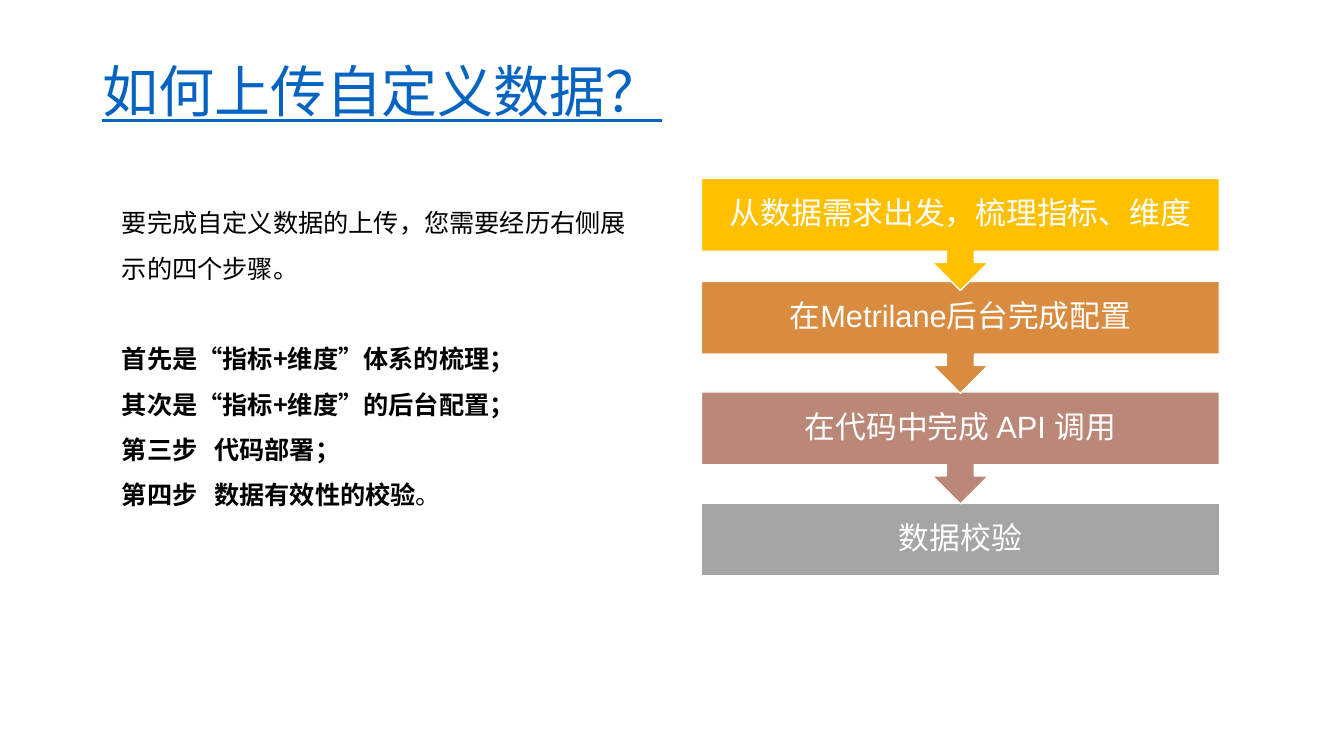
from lxml import etree
from pptx import Presentation
from pptx import util as u
from pptx.dml.color import RGBColor
from pptx.enum import shapes, text
from pptx.oxml.ns import qn

HEADING = "如何上传自定义数据？"
INTRO = "要完成自定义数据的上传，您需要经历右侧展示的四个步骤。"
DETAILS = [
    ("首先是“指标+维度”体系的梳理；", ""),
    ("其次是“指标+维度”的后台配置；", ""),
    ("第三步\t代码部署；", ""),
    ("第四步\t数据有效性的校验", "。"),
]
STEPS = [
    ("从数据需求出发，梳理指标、维度", "FFC000", 127.5),
    ("在Metrilane后台完成配置", "D98B3F", 201),
    ("在代码中完成 API 调用", "BB8776", 280),
    ("数据校验", "A5A5A5", 359.25),
]
THEME = {
    "cjk": "Noto Sans CJK SC", "latin": "Arial",
    "heading": {"size": u.Pt(40), "underline": True}, "heading_color": "0563C1",
    "body": {"size": u.Pt(18)}, "body_color": "000000",
    "step": {"size": u.Pt(22)}, "step_color": "FFFFFF",
    "edge": "FFFFFF",
}
STEP_LEFT, STEP_WIDTH, BAR_HEIGHT, CALLOUT_HEIGHT = 501, 370, 52, 80
STEP_INSET = 12
DETAIL_TAB, DETAIL_GAP = 66, 32.4


def apply(target, values):
    for key, value in values.items():
        setattr(target, key, value)


def add_words(paragraph, words, role, font_name, bold=False):
    run = paragraph.add_run()
    run.text = words
    apply(run.font, {**THEME[role], "name": font_name, "bold": bold})
    run.font.color.rgb = RGBColor.from_string(THEME[role + "_color"])
    latin = run.font._element.find(qn("a:latin"))
    east_asian = etree.Element(qn("a:ea"), typeface=THEME["cjk"])
    latin.addnext(east_asian)


def add_tab(paragraph, position):
    stops = etree.SubElement(paragraph._p.get_or_add_pPr(), qn("a:tabLst"))
    etree.SubElement(stops, qn("a:tab"), pos=str(u.Pt(position)), algn="l")


def add_box(slide, *bounds, anchor):
    frame = slide.shapes.add_textbox(*map(u.Pt, bounds)).text_frame
    apply(frame, {"word_wrap": True, "vertical_anchor": anchor})
    return frame


def add_heading(slide):
    frame = add_box(slide, 66, 41, 828, 52.5, anchor=text.MSO_ANCHOR.MIDDLE)
    heading = frame.paragraphs[0]
    heading.line_spacing = 0.9
    add_words(heading, HEADING, "heading", THEME["cjk"])


def add_explanation(slide):
    frame = add_box(slide, 80, 134, 377, 269, anchor=text.MSO_ANCHOR.TOP)
    intro = frame.paragraphs[0]
    intro.line_spacing = 1.5
    add_words(intro, INTRO, "body", THEME["cjk"])
    for index, (strong, plain) in enumerate(DETAILS):
        detail = frame.add_paragraph()
        detail.line_spacing = 1.5
        if index == 0:
            detail.space_before = u.Pt(DETAIL_GAP)
        if "\t" in strong:
            add_tab(detail, DETAIL_TAB)
        add_words(detail, strong, "body", THEME["cjk"], bold=True)
        if plain:
            add_words(detail, plain, "body", THEME["cjk"])


def add_step(slide, label, color, top, is_last):
    outline = shapes.MSO_SHAPE.RECTANGLE if is_last else shapes.MSO_SHAPE.DOWN_ARROW_CALLOUT
    height = BAR_HEIGHT if is_last else CALLOUT_HEIGHT
    step = slide.shapes.add_shape(
        outline, *map(u.Pt, (STEP_LEFT, top, STEP_WIDTH, height)))
    step.shadow.inherit = False
    step.fill.solid()
    step.fill.fore_color.rgb = RGBColor.from_string(color)
    step.line.color.rgb = RGBColor.from_string(THEME["edge"])
    step.line.width = u.Pt(1)
    inset = u.Pt(STEP_INSET)
    apply(step.text_frame, {
        "word_wrap": True, "vertical_anchor": text.MSO_ANCHOR.MIDDLE,
        "margin_left": inset, "margin_right": inset,
        "margin_top": inset, "margin_bottom": inset,
    })
    caption = step.text_frame.paragraphs[0]
    apply(caption, {"alignment": text.PP_ALIGN.CENTER, "line_spacing": 0.9})
    add_words(caption, label, "step", THEME["latin"])


def main():
    deck = Presentation()
    apply(deck, {"slide_width": u.Pt(960), "slide_height": u.Pt(540)})
    slide = deck.slides.add_slide(deck.slide_layouts[6])
    add_heading(slide)
    for step in reversed(STEPS):
        add_step(slide, *step, is_last=step is STEPS[-1])
    add_explanation(slide)
    deck.save("out.pptx")


if __name__ == "__main__":
    main()
